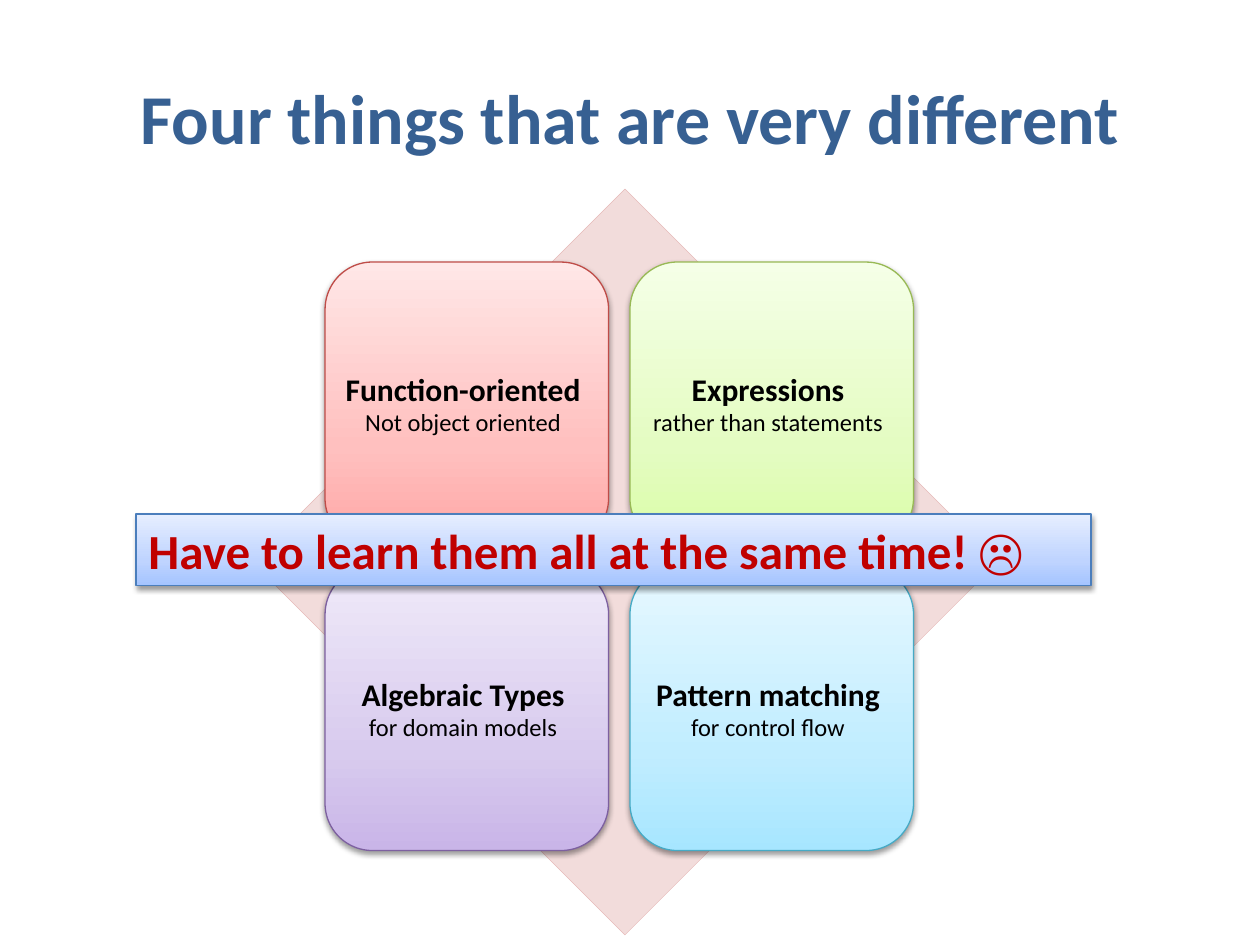
from lxml import etree
from pptx import Presentation
from pptx.dml.color import RGBColor
from pptx.enum.shapes import MSO_SHAPE
from pptx.enum.text import MSO_ANCHOR, PP_ALIGN
from pptx.oxml.ns import qn
from pptx.util import Inches, Pt

DIAMOND, RECTANGLE = MSO_SHAPE.DIAMOND, MSO_SHAPE.RECTANGLE
ROUNDED = MSO_SHAPE.ROUNDED_RECTANGLE
CENTER, LEFT = PP_ALIGN.CENTER, PP_ALIGN.LEFT
MIDDLE, TOP = MSO_ANCHOR.MIDDLE, MSO_ANCHOR.TOP

FONT = "Calibri"
BLACK = RGBColor(0x00, 0x00, 0x00)
TITLE_BLUE = RGBColor(0x37, 0x60, 0x92)
BANNER_RED = RGBColor(0xC0, 0x00, 0x00)
BANNER_LINE = RGBColor(0x4B, 0x7E, 0xBC)
DIAMOND_FILL = RGBColor(0xF2, 0xDC, 0xDB)
DIAMOND_LINE = RGBColor(0xE6, 0xB9, 0xB8)

TITLE = "Four things that are very different"
BANNER = "Have to learn them all at the same time! \u2639"
BANNER_GRADIENT = ("A4C4FF", "BFD4FF", "E6EEFF")
# Heading, detail, gradient from bottom to top, outline; row by row
TILES = [
    ("Function-oriented", "Not object oriented",
     ("FFA6A5", "FFC0BF", "FFE7E7"), RGBColor(0xBF, 0x4C, 0x48)),
    ("Expressions", "rather than statements",
     ("DAFDA7", "E4FCC2", "F5FFE7"), RGBColor(0x98, 0xB9, 0x55)),
    ("Algebraic Types", "for domain models",
     ("C9B5E8", "D8CBEE", "F0EAF9"), RGBColor(0x7D, 0x60, 0xA0)),
    ("Pattern matching", "for control flow",
     ("A7E6FF", "C1EDFF", "E7F8FF"), RGBColor(0x46, 0xAA, 0xC5)),
]
GRADIENT_POSITIONS = (0, 35, 100)
TILE_LEFT, TILE_TOP, TILE_SIZE, TILE_PITCH = 2.58, 2.08, 2.25, 2.42


def add_color(parent, value):
    """Append an RGB colour element and return it."""
    return etree.SubElement(parent, qn("a:srgbClr"), val=value)


def add_outlined_shape(slide, kind, box, line_color, line_width):
    """Add a preset shape with an outline and no shadow."""
    shape = slide.shapes.add_shape(kind, *map(Inches, box))
    shape.shadow.inherit = False
    shape.line.color.rgb = line_color
    shape.line.width = Pt(line_width)
    return shape


def add_glossy_shape(slide, kind, box, gradient, line_color):
    """Add an outlined shape with a three-stop gradient and a soft shadow."""
    shape = add_outlined_shape(slide, kind, box, line_color, 0.75)
    shape.fill.gradient()
    shape.fill.gradient_angle = 90
    properties = shape._element.spPr
    stops = properties.find(f"{qn('a:gradFill')}/{qn('a:gsLst')}")
    for stop in list(stops):
        stops.remove(stop)
    for position, value in zip(GRADIENT_POSITIONS, gradient):
        add_color(etree.SubElement(stops, qn("a:gs"), pos=str(position * 1000)), value)
    shadow = etree.SubElement(
        properties.find(qn("a:effectLst")), qn("a:outerShdw"),
        blurRad=str(Pt(3.1)), dist=str(Pt(1.6)), dir="5400000", rotWithShape="0")
    etree.SubElement(add_color(shadow, "000000"), qn("a:alpha"), val="38000")
    return shape


def write_text(shape, lines, color, align=CENTER, anchor=MIDDLE,
               insets=(0.1, 0.05, 0.1, 0.05)):
    """Write (text, size, bold) lines, one paragraph each."""
    frame = shape.text_frame
    frame.word_wrap = True
    frame.vertical_anchor = anchor
    (frame.margin_left, frame.margin_top,
     frame.margin_right, frame.margin_bottom) = map(Inches, insets)
    for index, (text, size, bold) in enumerate(lines):
        paragraph = frame.add_paragraph() if index else frame.paragraphs[0]
        paragraph.alignment = align
        run = paragraph.add_run()
        run.text = text
        run.font.name = FONT
        run.font.size = Pt(size)
        run.font.bold = bold
        run.font.color.rgb = color


presentation = Presentation()
presentation.slide_width, presentation.slide_height = Inches(10), Inches(7.5)
slide = presentation.slides.add_slide(presentation.slide_layouts[6])

title = slide.shapes.add_textbox(*map(Inches, (0.5, 0.3, 9, 1.25)))
write_text(title, [(TITLE, 40, True)], TITLE_BLUE)

diamond = add_outlined_shape(slide, DIAMOND, (2, 1.5, 5.92, 5.92), DIAMOND_LINE, 0.25)
diamond.fill.solid()
diamond.fill.fore_color.rgb = DIAMOND_FILL

for index, (heading, detail, gradient, outline) in enumerate(TILES):
    row, column = divmod(index, 2)
    box = (TILE_LEFT + column * TILE_PITCH, TILE_TOP + row * TILE_PITCH,
           TILE_SIZE, TILE_SIZE)
    tile = add_glossy_shape(slide, ROUNDED, box, gradient, outline)
    write_text(tile, [(heading, 18, True), (detail, 14, False)], BLACK,
               insets=(0.04, 0.04, 0.1, 0.05))

banner = add_glossy_shape(slide, RECTANGLE, (1.08, 4.08, 7.58, 0.57),
                          BANNER_GRADIENT, BANNER_LINE)
write_text(banner, [(BANNER, 28, True)], BANNER_RED, align=LEFT, anchor=TOP)

presentation.save("out.pptx")
